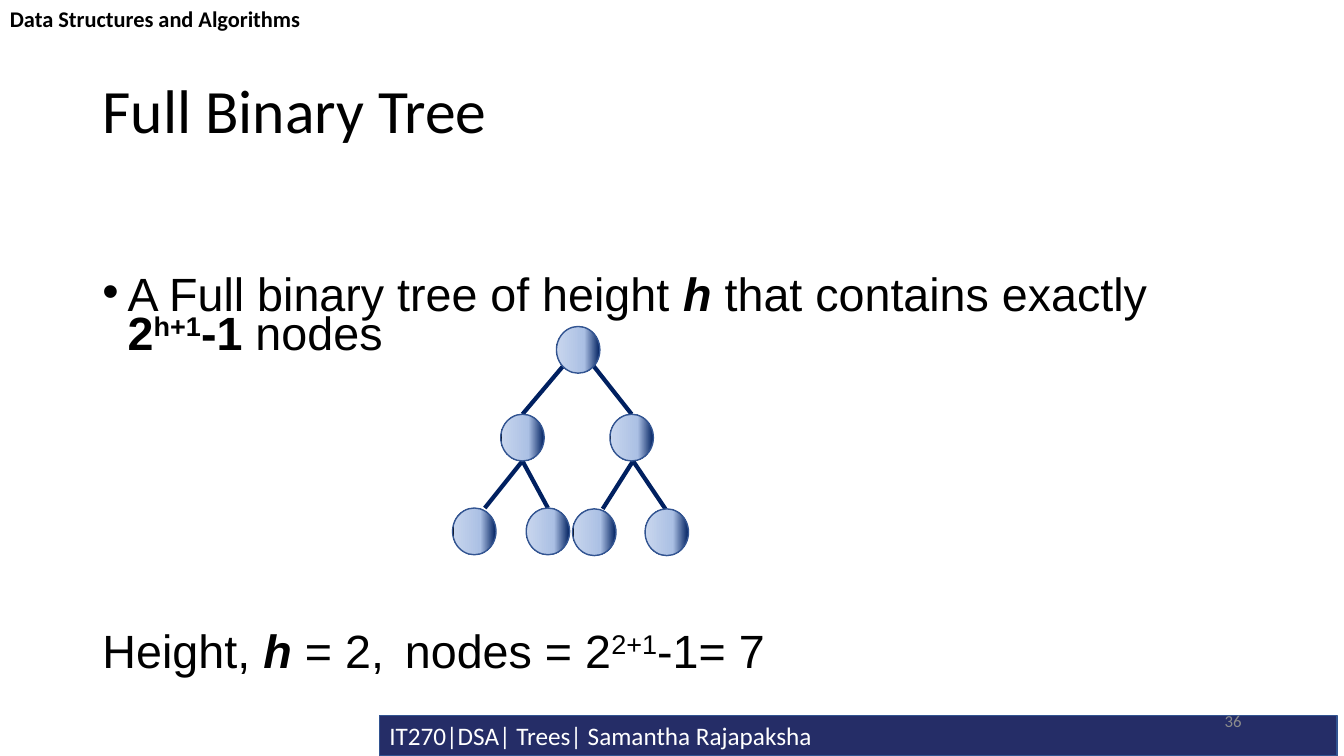
from dataclasses import dataclass
from lxml import etree
from pptx import Presentation
from pptx.dml.color import RGBColor
from pptx.enum.shapes import MSO_CONNECTOR, MSO_SHAPE
from pptx.enum.text import MSO_ANCHOR, MSO_AUTO_SIZE, PP_ALIGN
from pptx.oxml.ns import qn
from pptx.util import Pt

STRAIGHT = MSO_CONNECTOR.STRAIGHT
RECTANGLE, NODE = MSO_SHAPE.RECTANGLE, MSO_SHAPE.FLOWCHART_CONNECTOR
TOP, MIDDLE = MSO_ANCHOR.TOP, MSO_ANCHOR.MIDDLE
LEFT, RIGHT = PP_ALIGN.LEFT, PP_ALIGN.RIGHT
NO_AUTOFIT = MSO_AUTO_SIZE.NONE


@dataclass(frozen=True)
class Theme:
    heading_font: str = "Calibri"
    body_font: str = "Arial"
    black: str = "000000"
    white: str = "FFFFFF"
    gray: str = "8C8C8C"
    navy: str = "252D67"
    outline: str = "325491"
    edge: str = "002060"
    node_stops: tuple = ((0, "002060"), (36, "ABC0E4"), (98, "C7D5ED"), (99, "000000"))
    title_size: float = 44
    body_size: float = 33.3
    footer_size: float = 18
    header_size: float = 16
    number_size: float = 12


theme = Theme()


def add_text(paragraph, text, size=theme.body_size, font=theme.body_font, color=theme.black,
             bold=False, italic=False, raised=False, align=LEFT):
    paragraph.alignment = align
    run = paragraph.add_run()
    run.text = text
    run.font.size = Pt(size)
    run.font.name = font
    run.font.bold = bold
    run.font.italic = italic
    run.font.color.rgb = RGBColor.from_string(color)
    if raised:
        run.font._element.set("baseline", "30000")


def place(shape, left, top, width, height, anchor):
    shape.left, shape.top, shape.width, shape.height = Pt(left), Pt(top), Pt(width), Pt(height)
    frame = shape.text_frame
    frame.word_wrap = True
    frame.auto_size = NO_AUTOFIT
    frame.vertical_anchor = anchor
    return frame


presentation = Presentation()
presentation.slide_width, presentation.slide_height = Pt(960), Pt(540)
slide = presentation.slides.add_slide(presentation.slide_layouts[1])
title, body = slide.placeholders

footer = slide.shapes.add_shape(RECTANGLE, 0, 0, 0, 0)
footer.shadow.inherit = False
footer.fill.solid()
footer.fill.fore_color.rgb = RGBColor.from_string(theme.navy)
footer.line.color.rgb = RGBColor.from_string(theme.outline)
footer.line.width = Pt(1)
frame = place(footer, 271, 511.2, 684, 28.8, MIDDLE)
add_text(frame.paragraphs[0], "IT270|DSA| Trees| Samantha Rajapaksha",
         size=theme.footer_size, font=theme.heading_font, color=theme.white)

header = slide.shapes.add_textbox(0, 0, 0, 0)
frame = place(header, 0, 0, 960, 26.6, TOP)
add_text(frame.paragraphs[0], "Data Structures and Algorithms",
         size=theme.header_size, font=theme.heading_font, bold=True)

frame = place(title, 66, 28.8, 828, 104.4, MIDDLE)
frame.paragraphs[0].line_spacing = 0.9
add_text(frame.paragraphs[0], "Full Binary Tree", size=theme.title_size, font=theme.heading_font)

frame = place(body, 66, 144, 828, 342.7, TOP)
frame.margin_top = Pt(56)
definition, example = frame.paragraphs[0], frame.add_paragraph()
for paragraph, gap, indent in ((definition, 0, 18), (example, 199, 0)):
    paragraph.line_spacing = 0.7
    paragraph.space_before = Pt(gap)
    properties = paragraph._p.get_or_add_pPr()
    properties.set("marL", str(Pt(indent)))
    properties.set("indent", str(-Pt(indent)))
    if indent:
        etree.SubElement(properties, qn("a:buFont"), typeface=theme.body_font)
        etree.SubElement(properties, qn("a:buChar"), char="•")
    else:
        etree.SubElement(properties, qn("a:buNone"))
        tabs = etree.SubElement(properties, qn("a:tabLst"))
        etree.SubElement(tabs, qn("a:tab"), pos=str(Pt(238)), algn="l")

for paragraph, text, style in (
    (definition, "A Full binary tree of height ", {}),
    (definition, "h", {"bold": True, "italic": True}),
    (definition, " that contains exactly ", {}),
    (definition, "2", {"bold": True}),
    (definition, "h+1", {"bold": True, "raised": True}),
    (definition, "-1", {"bold": True}),
    (definition, " nodes", {}),
    (example, "Height, ", {}),
    (example, "h ", {"bold": True, "italic": True}),
    (example, "= 2,\tnodes = 2", {}),
    (example, "2+1", {"raised": True}),
    (example, "-1= 7", {}),
):
    add_text(paragraph, text, **style)

number = slide.shapes.add_textbox(0, 0, 0, 0)
frame = place(number, 678, 500.4, 216, 28.8, MIDDLE)
add_text(frame.paragraphs[0], "36", size=theme.number_size, font=theme.heading_font,
         color=theme.gray, align=RIGHT)

node_width, node_height = 31, 33.4
nodes = {
    "root": (413, 233.2),
    "left": (373.2, 295.9),
    "right": (451.2, 295.9),
    "left-left": (338.8, 362.9),
    "left-right": (391.4, 362.9),
    "right-left": (424.5, 363.5),
    "right-right": (476.3, 363.5),
}
edges = (
    ("left", 0, "root", -10.7, 28.2),
    ("right", 0, "root", 11, 28.2),
    ("left-left", 7.5, "left", 0, node_height),
    ("left-right", 0, "left", 0, node_height),
    ("right-left", 6, "right", 1, node_height),
    ("right-right", -1, "right", 1, node_height),
)
tree = slide.shapes.add_group_shape().shapes
for child, child_shift, parent, parent_shift, parent_drop in edges:
    child_x, child_y = nodes[child]
    parent_x, parent_y = nodes[parent]
    edge = tree.add_connector(STRAIGHT, Pt(child_x + child_shift), Pt(child_y),
                              Pt(parent_x + parent_shift), Pt(parent_y + parent_drop))
    edge.line.color.rgb = RGBColor.from_string(theme.edge)
    edge.line.width = Pt(3)
    etree.SubElement(edge._element.spPr, qn("a:effectLst"))

for center, top in nodes.values():
    node = tree.add_shape(NODE, Pt(center - node_width / 2), Pt(top), Pt(node_width), Pt(node_height))
    node.shadow.inherit = False
    node.line.color.rgb = RGBColor.from_string(theme.outline)
    node.line.width = Pt(1)
    node.fill.gradient()
    node.fill.gradient_angle = 180
    stops = node._element.spPr.find(qn("a:gradFill")).find(qn("a:gsLst"))
    for stop in list(stops):
        stops.remove(stop)
    for position, color in theme.node_stops:
        stop = etree.SubElement(stops, qn("a:gs"), pos=str(position * 1000))
        etree.SubElement(stop, qn("a:srgbClr"), val=color)

presentation.save("out.pptx")
